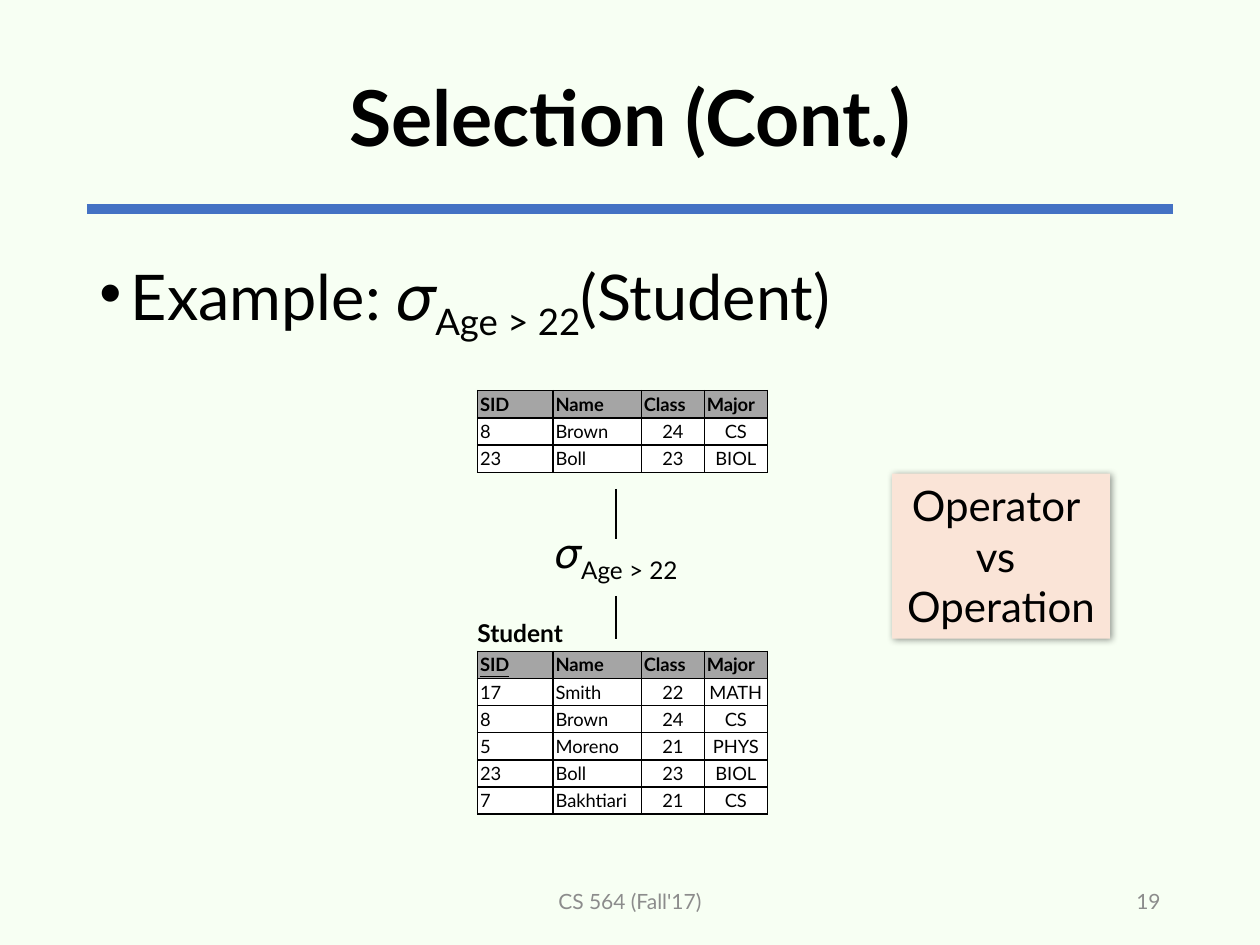
from lxml import etree
from pptx import Presentation
from pptx import util as u
from pptx.dml.color import RGBColor
from pptx.enum import shapes, text
from pptx.oxml.ns import qn

Inches, Pt = u.Inches, u.Pt
LEFT, CENTER, RIGHT = text.PP_ALIGN.LEFT, text.PP_ALIGN.CENTER, text.PP_ALIGN.RIGHT
TOP, MIDDLE = text.MSO_ANCHOR.TOP, text.MSO_ANCHOR.MIDDLE
CONDITION = ("Age > 22", -25000)
HEADINGS = ["SID", "Name", "Class", "Major"]
STUDENTS = [
    ["17", "Smith", "22", "MATH"],
    ["8", "Brown", "24", "CS"],
    ["5", "Moreno", "21", "PHYS"],
    ["23", "Boll", "23", "BIOL"],
    ["7", "Bakhtiari", "21", "CS"],
]
SELECTED = [row for row in STUDENTS if int(row[2]) > 22]


def color(value):
    """Turn a hex string into a colour."""
    return RGBColor.from_string(value)


def add_xml(parent, tag, **attributes):
    """Append a drawing element and return it."""
    child = etree.SubElement(parent, qn(tag))
    for name, value in attributes.items():
        child.set(name, str(value))
    return child


def style(paragraph, size, hue="000000", bold=False, align=LEFT):
    """Set the font and alignment of a paragraph."""
    paragraph.alignment = align
    font = paragraph.font
    font.name, font.size, font.bold = "Lato", Pt(size), bold
    font.color.rgb = color(hue)


def add_runs(paragraph, runs):
    """Add pairs of wording and baseline shift."""
    for wording, baseline in runs:
        run = paragraph.add_run()
        run.text = wording
        if baseline:
            run._r.get_or_add_rPr().set("baseline", str(baseline))


def add_text(slide, box, wording, size, anchor=TOP, wrap=True, **look):
    """Place a line of text in a box and return its paragraph."""
    frame = slide.shapes.add_textbox(*map(Inches, box)).text_frame
    frame.word_wrap, frame.vertical_anchor = wrap, anchor
    paragraph = frame.paragraphs[0]
    add_runs(paragraph, [(wording, 0)] if isinstance(wording, str) else wording)
    style(paragraph, size, **look)
    return paragraph


def add_line(slide, start, end, hue, width):
    """Draw a straight line without a shadow."""
    line = slide.shapes.add_connector(
        shapes.MSO_CONNECTOR.STRAIGHT, *map(Inches, start + end))
    line.line.color.rgb, line.line.width = color(hue), Pt(width)
    add_xml(line._element.spPr, "a:effectLst")


def add_header(slide, box):
    """Place the title and the rule beneath it."""
    left, top, width, height = box
    title = add_text(slide, box, "Selection (Cont.)", 44, MIDDLE, bold=True, align=CENTER)
    title.line_spacing = 0.9
    rule = top + height - 0.03
    add_line(slide, (left, rule), (left + width, rule), "4472C4", 6)


def add_example(slide, box):
    """Place the bulleted example expression."""
    runs = [("Example: 𝜎", 0), CONDITION, ("(Student)", 0)]
    example = add_text(slide, box, runs, 36)
    example.line_spacing = 0.9
    properties = example._p.get_or_add_pPr()
    properties.set("marL", str(Inches(0.25)))
    properties.set("indent", str(Inches(-0.25)))
    bullet_font = etree.Element(qn("a:buFont"), typeface="Arial")
    bullet = etree.Element(qn("a:buChar"), char="•")
    default_font = properties.find(qn("a:defRPr"))
    default_font.addprevious(bullet_font)
    default_font.addprevious(bullet)


def fill_cell(cell, wording, heading, align):
    """Write, border and fill one table cell."""
    cell.margin_left = cell.margin_right = cell.margin_top = cell.margin_bottom = Inches(0.02)
    paragraph = cell.text_frame.paragraphs[0]
    add_runs(paragraph, [(wording, 0)])
    style(paragraph, 10.5, bold=heading, align=align)
    properties = cell._tc.get_or_add_tcPr()
    for side in "LRTB":
        border = add_xml(properties, f"a:ln{side}", w=Pt(1))
        add_xml(add_xml(border, "a:solidFill"), "a:srgbClr", val="000000")
    cell.fill.solid()
    cell.fill.fore_color.rgb = color("A5A5A5" if heading else "FFFFFF")


def add_relation(slide, box, records):
    """Place a relation as a table and return the table."""
    rows = [HEADINGS] + records
    table = slide.shapes.add_table(len(rows), len(HEADINGS), *map(Inches, box)).table
    for column, width in zip(table.columns, [0.6, 0.7, 0.5, 0.5]):
        column.width = Inches(width)
    for r, row in enumerate(rows):
        table.rows[r].height = Inches(box[3] / len(rows))
        for c, wording in enumerate(row):
            align = CENTER if r and c > 1 else LEFT
            fill_cell(table.cell(r, c), wording, r == 0, align)
    return table


def add_query_tree(slide, box):
    """Place the result, the operator and the input relation."""
    left, top, width, height = box
    add_relation(slide, (left, top, width, 0.65), SELECTED)
    operator = slide.shapes.add_shape(
        shapes.MSO_SHAPE.OVAL, *map(Inches, (left + 0.38, top + 1.08, 1.45, 0.46)))
    operator.shadow.inherit = False
    operator.fill.background()
    operator.line.fill.background()
    frame = operator.text_frame
    frame.word_wrap, frame.vertical_anchor = False, MIDDLE
    add_runs(frame.paragraphs[0], [("𝜎", 0), CONDITION])
    style(frame.paragraphs[0], 24, align=CENTER)
    middle = left + 1.1
    for start, end in [(0.78, 1.18), (1.63, 1.97)]:
        add_line(slide, (middle, top + start), (middle, top + end), "000000", 1.5)
    add_text(slide, (left - 0.1, top + 1.76, 0.88, 0.34), "Student", 14, wrap=False, bold=True)
    students = add_relation(slide, (left, top + height - 1.29, width, 1.29), STUDENTS)
    students.cell(0, 0).text_frame.paragraphs[0].runs[0].font.underline = True


def add_callout(slide, box):
    """Place the shaded note with a soft shadow."""
    note = slide.shapes.add_shape(shapes.MSO_SHAPE.RECTANGLE, *map(Inches, box))
    note.fill.solid()
    note.fill.fore_color.rgb = color("FAE4D7")
    note.line.fill.background()
    note.shadow.inherit = False
    shadow = add_xml(
        note._element.spPr.find(qn("a:effectLst")), "a:outerShdw",
        blurRad=Pt(4), dist=Pt(1), dir=45 * 60000, algn="tl", rotWithShape=0)
    add_xml(add_xml(shadow, "a:srgbClr", val="000000"), "a:alpha", val=40000)
    frame = note.text_frame
    frame.word_wrap, frame.vertical_anchor = True, TOP
    frame.text = "Operator \nvs \nOperation"
    for paragraph in frame.paragraphs:
        style(paragraph, 24, align=CENTER)


def add_footer(slide, box):
    """Place the course name and the slide number."""
    left, top, width, height = box
    look = dict(size=12, anchor=MIDDLE, hue="8C8C8C")
    course_left = left + (width - 3.38) / 2
    add_text(slide, (course_left, top, 3.38, height), "CS 564 (Fall'17)", align=CENTER, **look)
    add_text(slide, (left + width - 2.25, top, 2.25, height), "19", align=RIGHT, **look)


def main():
    """Build and save the slide."""
    deck = Presentation()
    deck.slide_width, deck.slide_height = Inches(10), Inches(7.5)
    slide = deck.slides.add_slide(deck.slide_layouts[6])
    slide.background.fill.solid()
    slide.background.fill.fore_color.rgb = color("F7FFF3")
    add_header(slide, (0.69, 0.24, 8.62, 1.45))
    add_example(slide, (0.69, 2, 8.62, 0.8))
    add_query_tree(slide, (3.79, 3.1, 2.31, 3.36))
    add_callout(slide, (7.08, 3.76, 1.73, 1.31))
    add_footer(slide, (0.69, 6.95, 8.62, 0.4))
    deck.save("out.pptx")


if __name__ == "__main__":
    main()
